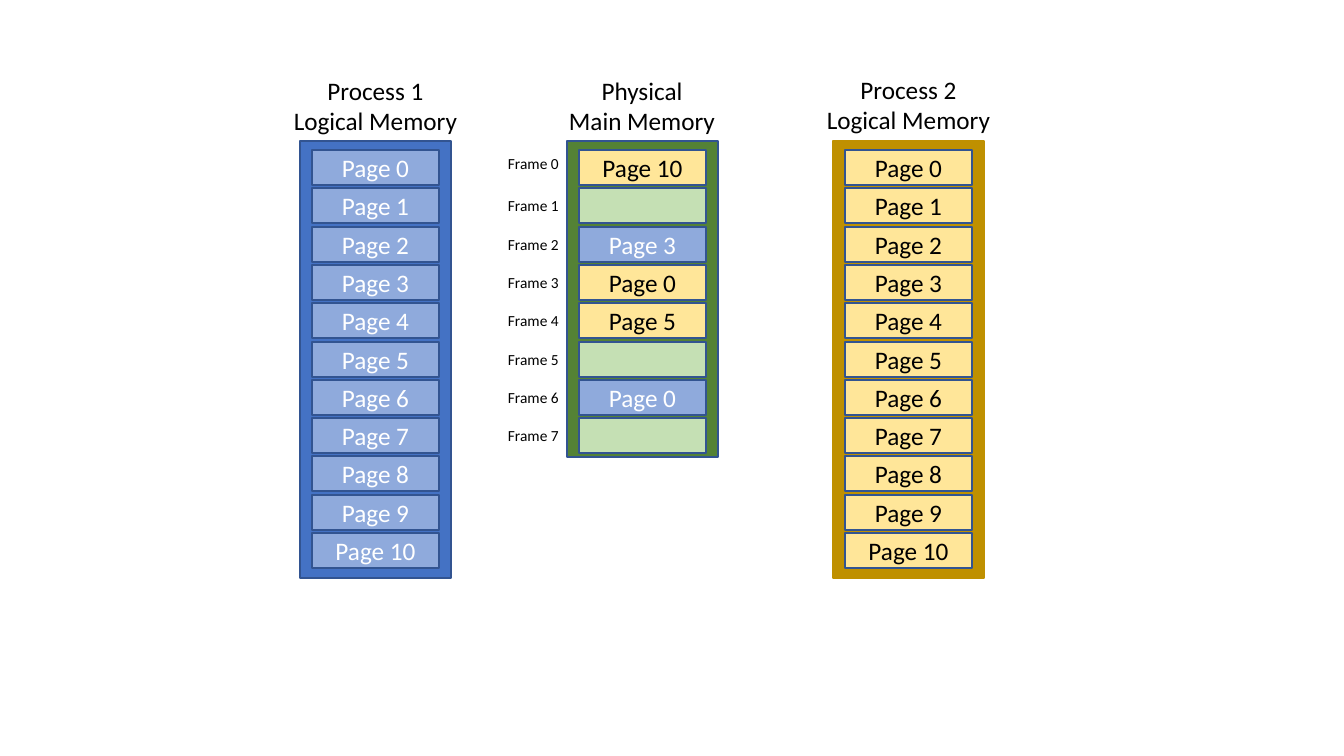
from dataclasses import dataclass

from pptx import Presentation
from pptx import util as u
from pptx.dml.color import RGBColor
from pptx.enum import shapes, text

SCALE = 914400 / 100.8
COLUMN_TOP, COLUMN_WIDTH = 141, 151
CELL_TOP, CELL_WIDTH, CELL_HEIGHT, CELL_PITCH = 150, 127, 35, 38.3
LABEL_LEFT, LABEL_WIDTH, LABEL_HEIGHT = 498, 72, 29
TITLE_HEIGHT = 72


@dataclass(frozen=True)
class Theme:
    font: str = "Calibri"
    body: int = 18
    small: int = 11
    black: str = "000000"
    white: str = "FFFFFF"
    outline: str = "325491"
    blue: str = "4472C4"
    light_blue: str = "8FAADC"
    gold: str = "BF9000"
    light_gold: str = "FFE699"
    green: str = "548235"
    light_green: str = "C5E0B4"


THEME = Theme()
PROCESS_1 = (THEME.light_blue, THEME.white)
PROCESS_2 = (THEME.light_gold, THEME.black)
FREE = (THEME.light_green, THEME.black)


def px(length):
    return u.Emu(round(length * SCALE))


def rgb(color):
    return RGBColor.from_string(color)


def write(frame, words, size=THEME.body, color=THEME.black, align=text.PP_ALIGN.CENTER):
    for number, line in enumerate(words.split("\n")):
        paragraph = frame.add_paragraph() if number else frame.paragraphs[0]
        paragraph.alignment = align
        run = paragraph.add_run()
        run.text = line
        run.font.name = THEME.font
        run.font.size = u.Pt(size)
        run.font.color.rgb = rgb(color)


def add_box(slide, left, top, width, height, fill, line=THEME.outline):
    box = slide.shapes.add_shape(
        shapes.MSO_SHAPE.RECTANGLE, px(left), px(top), px(width), px(height))
    box.shadow.inherit = False
    box.fill.solid()
    box.fill.fore_color.rgb = rgb(fill)
    box.line.color.rgb = rgb(line)
    box.line.width = u.Pt(1)
    return box


def add_caption(slide, left, top, width, height, words, **style):
    frame = slide.shapes.add_textbox(px(left), px(top), px(width), px(height)).text_frame
    frame.word_wrap = False
    frame.auto_size = text.MSO_AUTO_SIZE.SHAPE_TO_FIT_TEXT
    write(frame, words, **style)


def cell_top(row):
    return CELL_TOP + round(row * CELL_PITCH)


def add_cell(slide, left, row, page, owner):
    fill, color = owner
    cell = add_box(slide, left, cell_top(row), CELL_WIDTH, CELL_HEIGHT, fill)
    if page is not None:
        cell.text_frame.vertical_anchor = text.MSO_ANCHOR.MIDDLE
        write(cell.text_frame, f"Page {page}", color=color)


def add_memory(slide, left, height, fill, line, cells, title, title_top, title_width):
    add_box(slide, left, COLUMN_TOP, COLUMN_WIDTH, height, fill, line)
    cell_left = left + (COLUMN_WIDTH - CELL_WIDTH) // 2
    for row, (page, owner) in enumerate(cells):
        add_cell(slide, cell_left, row, page, owner)
    title_left = left + (COLUMN_WIDTH - title_width) // 2
    add_caption(slide, title_left, title_top, title_width, TITLE_HEIGHT, title)


def add_frame_labels(slide, count):
    for row in range(count):
        offset = 3 if row else -1
        add_caption(slide, LABEL_LEFT, cell_top(row) + offset, LABEL_WIDTH, LABEL_HEIGHT,
                    f"Frame {row}", size=THEME.small, align=text.PP_ALIGN.LEFT)


def main():
    deck = Presentation()
    deck.slide_width, deck.slide_height = px(1344), px(756)
    slide = deck.slides.add_slide(deck.slide_layouts[6])

    frames = [(10, PROCESS_2), (None, FREE), (3, PROCESS_1), (0, PROCESS_2),
              (5, PROCESS_2), (None, FREE), (0, PROCESS_1), (None, FREE)]
    add_memory(slide, 300, 437, THEME.blue, THEME.outline,
               [(page, PROCESS_1) for page in range(11)],
               "Process 1\nLogical Memory", 70, 185)
    add_memory(slide, 567, 316, THEME.green, THEME.outline, frames,
               "Physical\nMain Memory", 70, 168)
    add_memory(slide, 833, 437, THEME.gold, THEME.gold,
               [(page, PROCESS_2) for page in range(11)],
               "Process 2\nLogical Memory", 69, 185)
    add_frame_labels(slide, len(frames))
    deck.save("out.pptx")


main()
